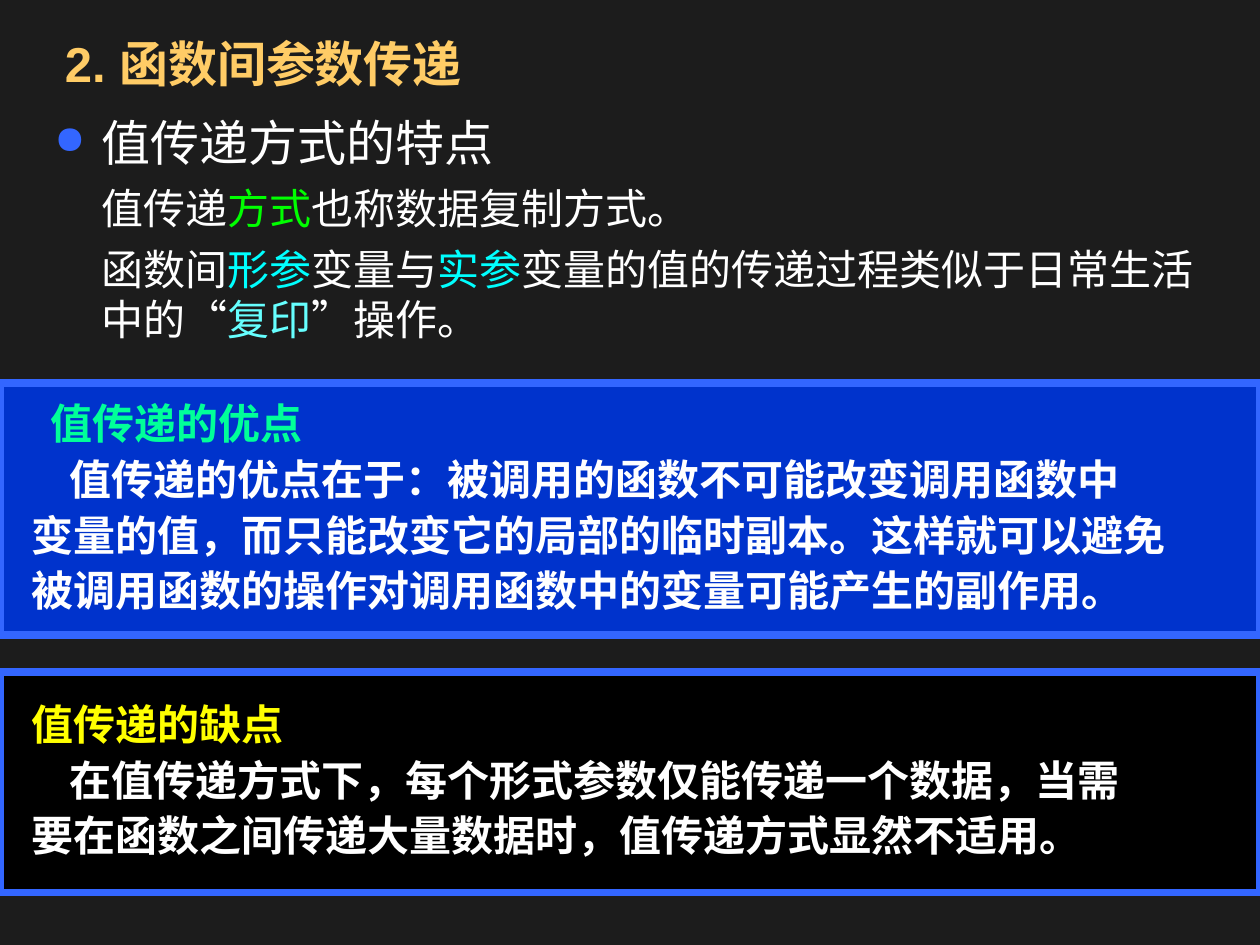
import pptx
import pptx.util
import pptx.dml.color
import pptx.enum.shapes
import pptx.enum.text
import pptx.oxml
import pptx.oxml.ns
from lxml import etree

Pt = pptx.util.Pt
SANS = "Noto Sans CJK SC"
WHITE = "FFFFFF"
BLUE = "3366FF"
CYAN = "00FFFF"


def color(code):
    return pptx.dml.color.RGBColor.from_string(code)


def node(parent, tag, **attrs):
    return etree.SubElement(parent, pptx.oxml.ns.qn(tag), attrs)


def write(frame, text, size=24, face=SANS, bold=False, tint=WHITE,
          left=0, first=0, before=0, lines=None, dot=False):
    par = frame.paragraphs[0]
    if par.runs:
        par = frame.add_paragraph()
    par.space_before = Pt(before)
    if lines:
        par.line_spacing = lines
    props = par._p.get_or_add_pPr()
    props.set("marL", str(Pt(left)))
    props.set("indent", str(Pt(first)))
    if dot:
        node(node(props, "a:buClr"), "a:srgbClr", val=BLUE)
        node(props, "a:buSzPct", val="80000")
        node(props, "a:buChar", char="●")
    parts = [(text, tint)] if isinstance(text, str) else text
    for words, hue in parts:
        run = par.add_run()
        run.text = words
        run.font.size = Pt(size)
        run.font.bold = bold
        run.font.name = face
        run.font.color.rgb = color(hue)
        node(run._r.get_or_add_rPr(), "a:ea", typeface=SANS)


def setup(frame, anchor):
    frame.word_wrap = True
    frame.vertical_anchor = anchor
    return frame


def title(slide, x, y, w, h):
    box = slide.shapes.add_textbox(Pt(x), Pt(y), Pt(w), Pt(h))
    frame = setup(box.text_frame, pptx.enum.text.MSO_ANCHOR.MIDDLE)
    write(frame, "2. 函数间参数传递", size=28, face="Arial", bold=True, tint="FFCC66")


def body(slide, x, y, w, h):
    box = slide.shapes.add_textbox(Pt(x), Pt(y), Pt(w), Pt(h))
    frame = setup(box.text_frame, pptx.enum.text.MSO_ANCHOR.TOP)
    write(frame, "值传递方式的特点", size=28, left=27, first=-27, dot=True)
    write(frame, [("值传递", WHITE), ("方式", "00FF00"), ("也称数据复制方式。", WHITE)],
          left=27, before=6)
    write(frame, [("函数间", WHITE), ("形参", CYAN), ("变量与", WHITE), ("实参", CYAN),
                  ("变量的值的传递过程类似于日常生活中的“", WHITE),
                  ("复印", "66FFFF"), ("”操作。", WHITE)],
          left=27, before=6)


def panel(slide, x, y, w, h, fill, head, tint, face, inset, rows):
    box = slide.shapes.add_shape(pptx.enum.shapes.MSO_SHAPE.RECTANGLE,
                                 Pt(x), Pt(y), Pt(w), Pt(h))
    box.shadow.inherit = False
    box.fill.solid()
    box.fill.fore_color.rgb = color(fill)
    box.line.color.rgb = color(BLUE)
    box.line.width = Pt(4.5)
    frame = setup(box.text_frame, pptx.enum.text.MSO_ANCHOR.MIDDLE)
    write(frame, head, face=face, bold=True, tint=tint, left=inset, lines=0.9)
    for i, row in enumerate(rows):
        write(frame, row, bold=True, left=10.8 if i else 32.4, lines=1.1)
    for par in frame.paragraphs:
        par.alignment = pptx.enum.text.PP_ALIGN.LEFT


def main():
    deck = pptx.Presentation()
    deck.slide_width, deck.slide_height = Pt(720), Pt(540)
    slide = deck.slides.add_slide(deck.slide_layouts[6])
    slide.background.fill.solid()
    slide.background.fill.fore_color.rgb = color("1C1C1C")
    body(slide, 24, 61, 672, 144)
    panel(slide, 0, 219, 720, 144, "0033CC", "值传递的优点", "00FF99",
          "Times New Roman", 21.6,
          ["值传递的优点在于：被调用的函数不可能改变调用函数中",
           "变量的值，而只能改变它的局部的临时副本。这样就可以避免",
           "被调用函数的操作对调用函数中的变量可能产生的副作用。"])
    panel(slide, 0, 384, 720, 126, "000000", "值传递的缺点", "FFFF00", SANS, 10.8,
          ["在值传递方式下，每个形式参数仅能传递一个数据，当需",
           "要在函数之间传递大量数据时，值传递方式显然不适用。"])
    title(slide, 30, 6, 612, 60)
    deck.save("out.pptx")


if __name__ == "__main__":
    main()
